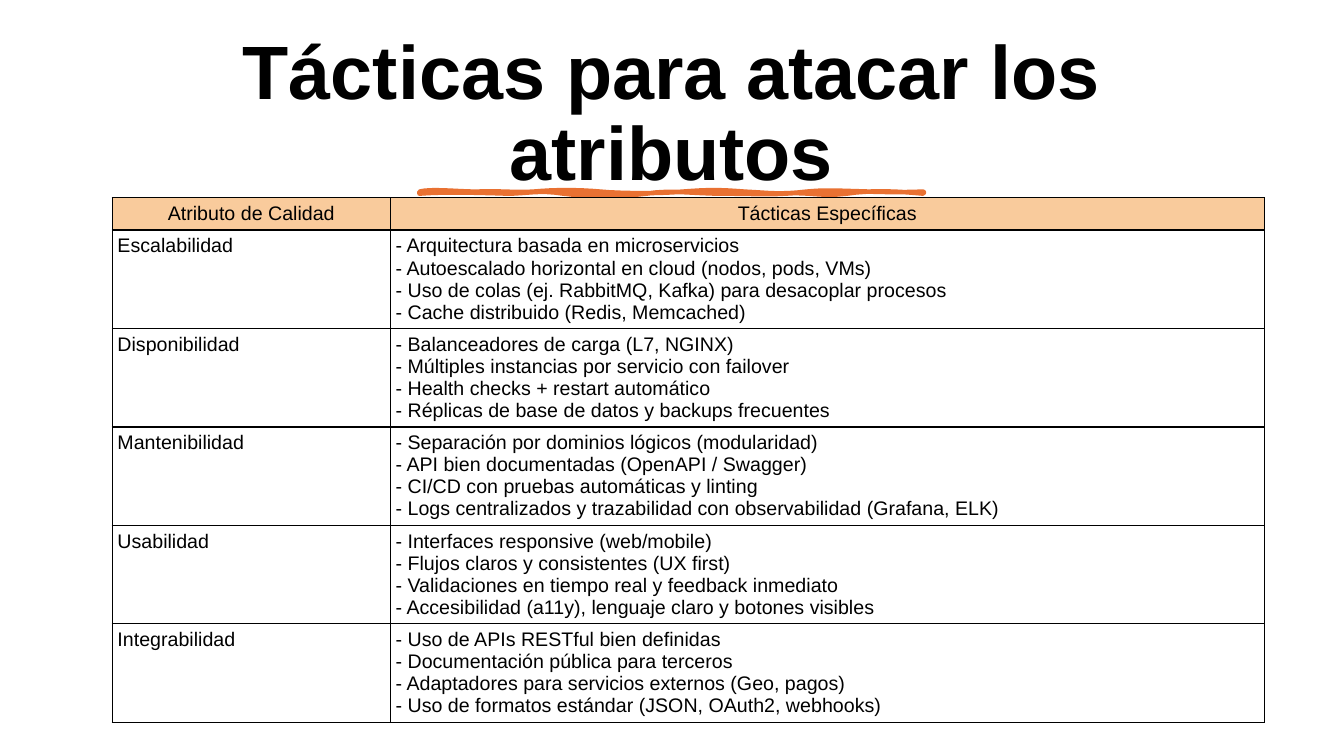
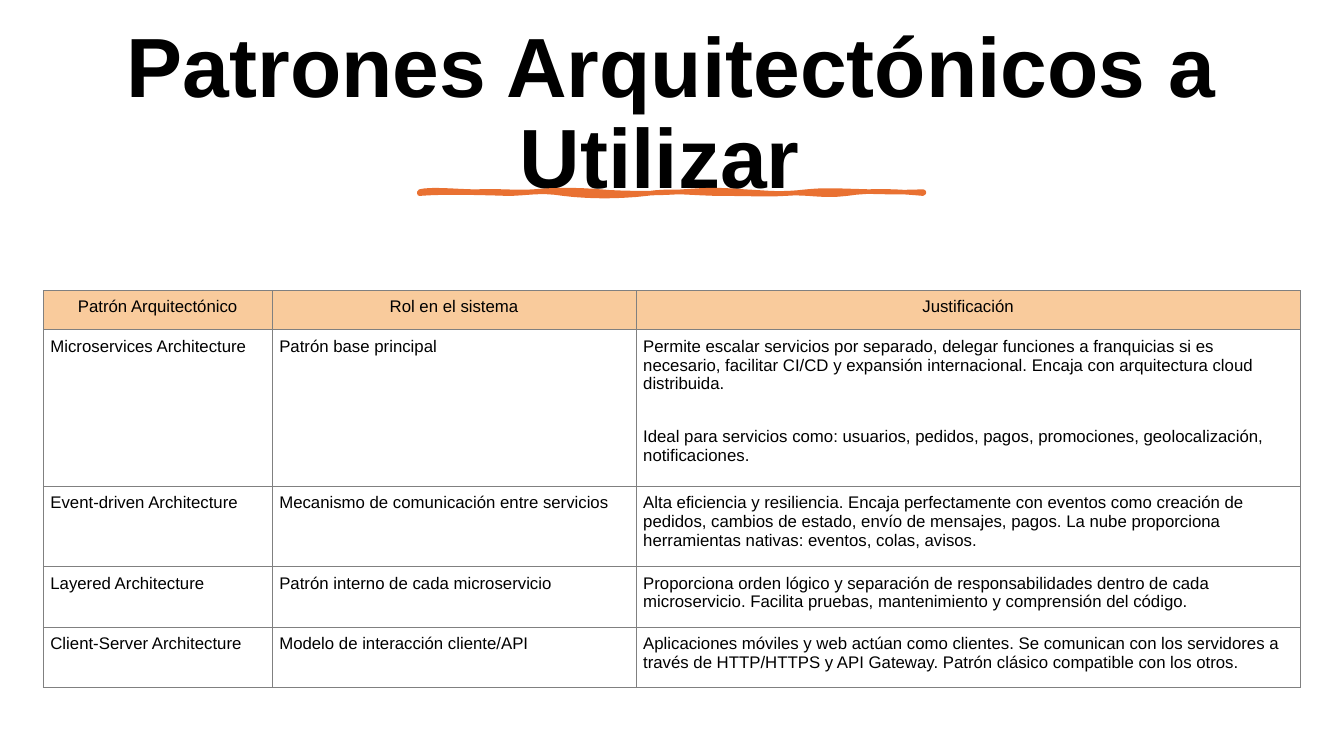
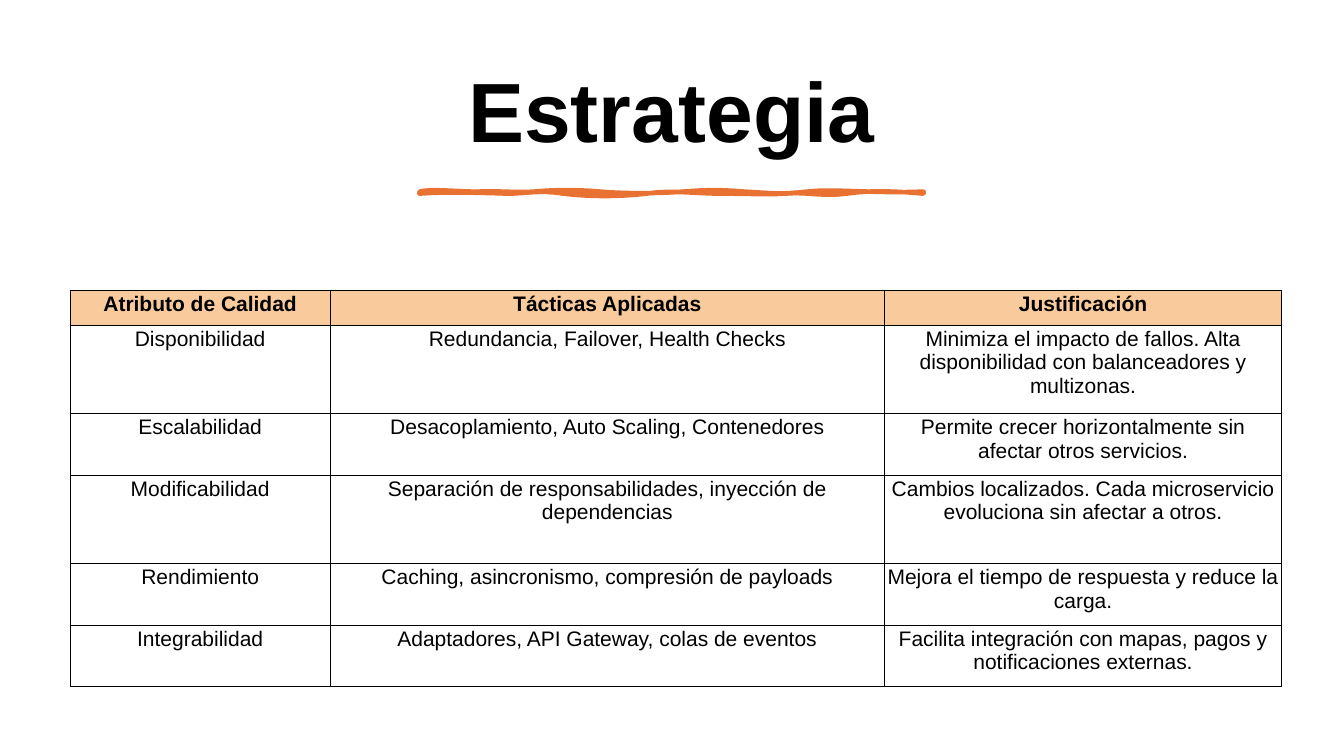
import pptx
import pptx.dml.color
import pptx.enum.text
import pptx.oxml
import pptx.oxml.ns
import pptx.util

Cm = pptx.util.Cm
Pt = pptx.util.Pt
ALIGN = pptx.enum.text.PP_ALIGN
COLORS = {"text": "000000", "accent": "E97132", "header": "F9CB9C", "grid": "808080"}
TITLE_BOX = (1.77, 1.17, 30.3, 3.48)
UNDERLINE_AT = (10.57, 4.83)
BRUSH_CURVES = [
    [(0.3, -0.08), (0.97, 0), (1.45, 0)],
    [(1.93, -0.03), (2.36, 0.03), (2.87, 0)],
    [(3.38, -0.05), (4.01, -0.05), (4.57, 0)],
    [(5.11, 0.05), (6.02, 0.05), (6.63, 0)],
    [(7.26, -0.05), (7.57, -0.05), (8.2, 0)],
    [(8.81, 0.03), (9.09, 0.08), (9.75, 0)],
    [(10.41, -0.08), (11.46, 0.05), (12.7, 0)],
    [(12.73, 0.03), (12.7, 0.03), (12.7, 0.05)],
    [(12.17, 0), (11.4, -0.05), (10.77, 0.05)],
    [(10.13, 0.13), (9.78, 0), (9.22, 0.05)],
    [(8.64, 0.08), (8.41, 0.05), (7.65, 0.05)],
    [(6.88, 0.05), (6.38, -0.05), (5.72, 0.05)],
    [(5.03, 0.13), (4.29, 0.13), (3.63, 0.05)],
    [(3, -0.05), (2.72, 0.05), (2.21, 0.05)],
    [(1.7, 0.03), (0.56, 0), (0, 0.05)],
]
CURVE_STEPS = 8

SLIDES = [
    {
        "title": "Tácticas para atacar los atributos", "title_size": 54,
        "at": (2.83, 4.98), "columns": [7.01, 22.02], "heights": [0.79] + [2.46] * 5,
        "size": 14, "inset": 0.13, "border": ("text", 1),
        "header_bold": False, "body_align": ALIGN.LEFT, "gap": 0,
        "rows": [
            ["Atributo de Calidad", "Tácticas Específicas"],
            ["Escalabilidad",
             "- Arquitectura basada en microservicios\n"
             "- Autoescalado horizontal en cloud (nodos, pods, VMs)\n"
             "- Uso de colas (ej. RabbitMQ, Kafka) para desacoplar procesos\n"
             "- Cache distribuido (Redis, Memcached)"],
            ["Disponibilidad",
             "- Balanceadores de carga (L7, NGINX)\n"
             "- Múltiples instancias por servicio con failover\n"
             "- Health checks + restart automático\n"
             "- Réplicas de base de datos y backups frecuentes"],
            ["Mantenibilidad",
             "- Separación por dominios lógicos (modularidad)\n"
             "- API bien documentadas (OpenAPI / Swagger)\n"
             "- CI/CD con pruebas automáticas y linting\n"
             "- Logs centralizados y trazabilidad con observabilidad (Grafana, ELK)"],
            ["Usabilidad",
             "- Interfaces responsive (web/mobile)\n"
             "- Flujos claros y consistentes (UX first)\n"
             "- Validaciones en tiempo real y feedback inmediato\n"
             "- Accesibilidad (a11y), lenguaje claro y botones visibles"],
            ["Integrabilidad",
             "- Uso de APIs RESTful bien definidas\n"
             "- Documentación pública para terceros\n"
             "- Adaptadores para servicios externos (Geo, pagos)\n"
             "- Uso de formatos estándar (JSON, OAuth2, webhooks)"],
        ],
    },
    {
        "title": "Patrones Arquitectónicos a Utilizar ", "title_size": 60,
        "at": (1.09, 7.32), "columns": [5.77, 9.17, 16.74],
        "heights": [0.99, 3.94, 2.03, 1.52, 1.52],
        "size": 12, "inset": 0.18, "border": ("grid", 0.5),
        "header_bold": False, "body_align": ALIGN.LEFT, "gap": 24,
        "rows": [
            ["Patrón Arquitectónico", "Rol en el sistema", "Justificación"],
            ["Microservices Architecture", "Patrón base principal",
             "Permite escalar servicios por separado, delegar funciones a franquicias si es "
             "necesario, facilitar CI/CD y expansión internacional. Encaja con arquitectura "
             "cloud distribuida.\n"
             "Ideal para servicios como: usuarios, pedidos, pagos, promociones, "
             "geolocalización, notificaciones."],
            ["Event-driven Architecture", "Mecanismo de comunicación entre servicios",
             "Alta eficiencia y resiliencia. Encaja perfectamente con eventos como creación de "
             "pedidos, cambios de estado, envío de mensajes, pagos. La nube proporciona "
             "herramientas nativas: eventos, colas, avisos."],
            ["Layered Architecture", "Patrón interno de cada microservicio",
             "Proporciona orden lógico y separación de responsabilidades dentro de cada "
             "microservicio. Facilita pruebas, mantenimiento y comprensión del código."],
            ["Client-Server Architecture", "Modelo de interacción cliente/API",
             "Aplicaciones móviles y web actúan como clientes. Se comunican con los servidores a "
             "través de HTTP/HTTPS y API Gateway. Patrón clásico compatible con los otros."],
        ],
    },
    {
        "title": "Estrategia", "title_size": 60,
        "at": (1.77, 7.32), "columns": [6.55, 13.97, 10.01],
        "heights": [0.88, 2.23, 1.55, 2.23, 1.55, 1.55],
        "size": 15, "inset": 0.05, "border": ("text", 0.8),
        "header_bold": True, "body_align": ALIGN.CENTER, "gap": 0,
        "rows": [
            ["Atributo de Calidad", "Tácticas Aplicadas", "Justificación"],
            ["Disponibilidad", "Redundancia, Failover, Health Checks",
             "Minimiza el impacto de fallos. Alta disponibilidad con balanceadores y multizonas."],
            ["Escalabilidad", "Desacoplamiento, Auto Scaling, Contenedores",
             "Permite crecer horizontalmente sin afectar otros servicios."],
            ["Modificabilidad", "Separación de responsabilidades, inyección de dependencias",
             "Cambios localizados. Cada microservicio evoluciona sin afectar a otros."],
            ["Rendimiento", "Caching, asincronismo, compresión de payloads",
             "Mejora el tiempo de respuesta y reduce la carga."],
            ["Integrabilidad", "Adaptadores, API Gateway, colas de eventos",
             "Facilita integración con mapas, pagos y notificaciones externas."],
        ],
    },
]


def rgb(name):
    """Return the named palette colour."""
    return pptx.dml.color.RGBColor.from_string(COLORS[name])


def assign(target, values):
    """Set each attribute of the target from a dict."""
    for name, value in values.items():
        setattr(target, name, value)


def write(paragraph, wording, size, bold, align, **spacing):
    """Write one formatted paragraph."""
    paragraph.text = wording
    assign(paragraph, {"alignment": align, **spacing})
    assign(paragraph.font, {"name": "Arial", "size": Pt(size), "bold": bold})
    paragraph.font.color.rgb = rgb("text")


def add_title(slide, wording, size, box):
    """Place the slide heading in its box."""
    heading = slide.shapes.title
    assign(heading, dict(zip(("left", "top", "width", "height"), map(Cm, box))))
    assign(heading.text_frame, {
        "word_wrap": True,
        "auto_size": pptx.enum.text.MSO_AUTO_SIZE.NONE,
        "vertical_anchor": pptx.enum.text.MSO_ANCHOR.MIDDLE,
    })
    write(heading.text_frame.paragraphs[0], wording, size, True, ALIGN.CENTER, line_spacing=0.9)


def brush_outline():
    """Return points along the brush stroke's cubic curves."""
    points = [(0, 0)]
    for curve in BRUSH_CURVES:
        anchors = [points[-1], *curve]
        for step in range(1, CURVE_STEPS + 1):
            t = step / CURVE_STEPS
            weights = ((1 - t) ** 3, 3 * t * (1 - t) ** 2, 3 * t * t * (1 - t), t ** 3)
            points.append(tuple(sum(w * anchor[axis] for w, anchor in zip(weights, anchors))
                                for axis in (0, 1)))
    return points


def add_underline(slide, at):
    """Draw the brush stroke under the heading."""
    left, top = at
    outline = [(Cm(left + x), Cm(top + y)) for x, y in brush_outline()]
    builder = slide.shapes.build_freeform(*outline[0])
    builder.add_line_segments(outline[1:], close=True)
    brush = builder.convert_to_shape()
    brush.shadow.inherit = False
    brush.fill.solid()
    brush.fill.fore_color.rgb = rgb("accent")
    brush.line.color.rgb = rgb("accent")
    brush.line.width = Pt(3.25)


def add_borders(cell, color, width):
    """Outline all four sides of a cell."""
    properties = cell._tc.get_or_add_tcPr()
    for side in ("lnL", "lnR", "lnT", "lnB"):
        properties.append(pptx.oxml.parse_xml(
            f'<a:{side} {pptx.oxml.ns.nsdecls("a")} w="{Pt(width)}"><a:solidFill>'
            f'<a:srgbClr val="{COLORS[color]}"/></a:solidFill></a:{side}>'))


def fill_cell(cell, wording, is_header, layout):
    """Format one table cell and write its paragraphs."""
    add_borders(cell, *layout["border"])
    if is_header:
        cell.fill.solid()
        cell.fill.fore_color.rgb = rgb("header")
    else:
        cell.fill.background()
    sides = ("margin_left", "margin_right", "margin_top", "margin_bottom")
    assign(cell, dict.fromkeys(sides, Cm(layout["inset"])))
    for index, line in enumerate(wording.split("\n")):
        paragraph = cell.text_frame.add_paragraph() if index else cell.text_frame.paragraphs[0]
        write(paragraph, line, layout["size"], is_header and layout["header_bold"],
              ALIGN.CENTER if is_header else layout["body_align"],
              space_before=Pt(layout["gap"] if index else 0))


def add_grid(slide, layout):
    """Build the table from its layout and rows."""
    rows, columns, heights = layout["rows"], layout["columns"], layout["heights"]
    grid = slide.shapes.add_table(len(rows), len(columns), *map(Cm, layout["at"]),
                                  Cm(sum(columns)), Cm(sum(heights))).table
    assign(grid, {"first_row": False, "horz_banding": False})
    for column, width in zip(grid.columns, columns):
        column.width = Cm(width)
    for row_index, (row, height, wordings) in enumerate(zip(grid.rows, heights, rows)):
        row.height = Cm(height)
        for cell, wording in zip(row.cells, wordings):
            fill_cell(cell, wording, row_index == 0, layout)


def main():
    """Build and save the presentation."""
    deck = pptx.Presentation()
    assign(deck, {"slide_width": Cm(33.87), "slide_height": Cm(19.05)})
    for layout in SLIDES:
        slide = deck.slides.add_slide(deck.slide_layouts[5])
        add_title(slide, layout["title"], layout["title_size"], TITLE_BOX)
        add_underline(slide, UNDERLINE_AT)
        add_grid(slide, layout)
    deck.save("out.pptx")


if __name__ == "__main__":
    main()
